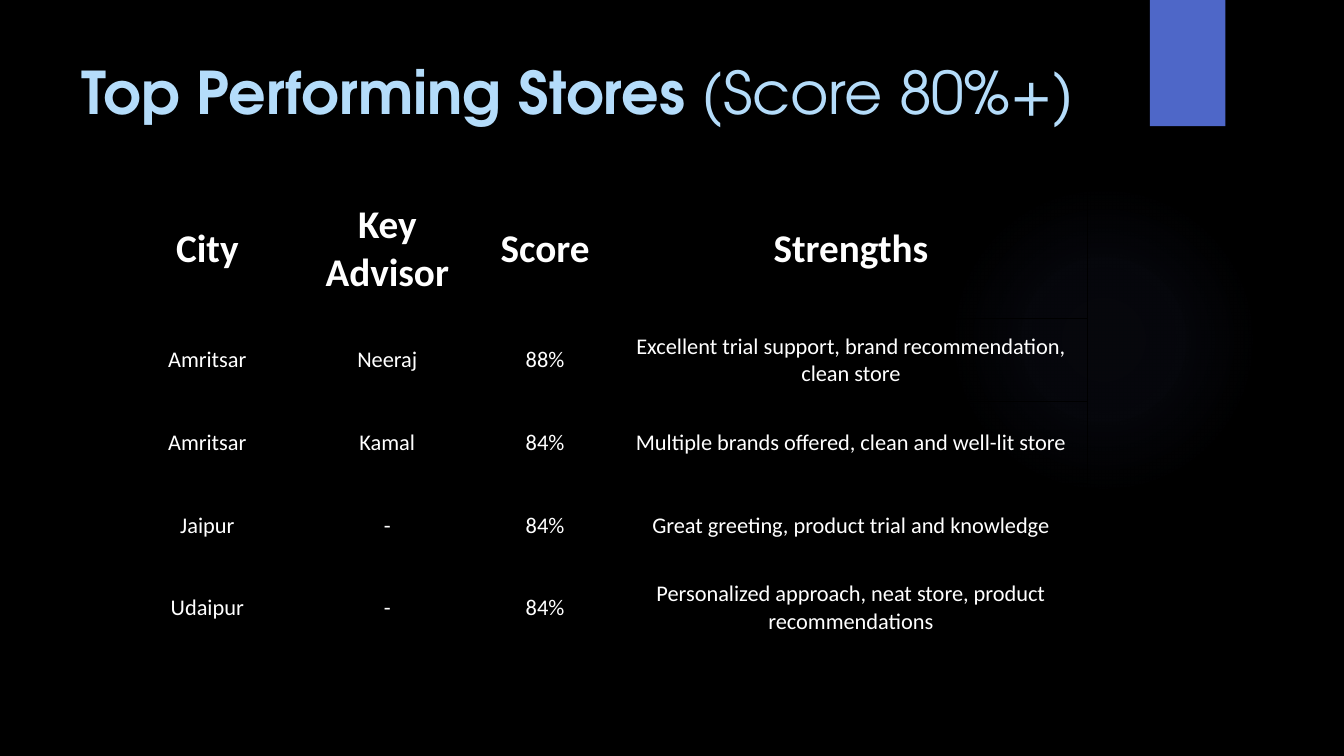
from lxml import etree
from pptx import Presentation
from pptx.dml.color import RGBColor
from pptx.enum.shapes import MSO_SHAPE
from pptx.enum.text import MSO_ANCHOR, PP_ALIGN
from pptx.oxml import parse_xml
from pptx.oxml.ns import nsdecls, qn
from pptx.util import Cm, Pt

ELLIPSE, RECTANGLE = MSO_SHAPE.OVAL, MSO_SHAPE.RECTANGLE
TOP, MIDDLE = MSO_ANCHOR.TOP, MSO_ANCHOR.MIDDLE
CENTER = PP_ALIGN.CENTER

BLACK = RGBColor(0x00, 0x00, 0x00)
WHITE = RGBColor(0xFF, 0xFF, 0xFF)
BLUE = RGBColor(0x4E, 0x67, 0xC8)
GLOW_BLUE = RGBColor(0x59, 0x68, 0xB0)
LIGHT_BLUE = RGBColor(0xB4, 0xDC, 0xFA)

TITLE_FONT, BODY_FONT = "TeX Gyre Adventor", "Calibri"
GLOW_STOPS = [(0, 7), (36, 6), (69, 0)]  # position and opacity, in percent

COLUMN_WIDTHS = [Cm(4.65), Cm(4.42), Cm(3.53), Cm(11.89)]
HEADER_HEIGHT, ROW_HEIGHT = Cm(3.53), Cm(2.08)
STORES = [
    ("City", "Key Advisor", "Score", "Strengths"),
    ("Amritsar", "Neeraj", "88%",
     "Excellent trial support, brand recommendation, clean store"),
    ("Amritsar", "Kamal", "84%",
     "Multiple brands offered, clean and well-lit store"),
    ("Jaipur", "-", "84%", "Great greeting, product trial and knowledge"),
    ("Udaipur", "-", "84%",
     "Personalized approach, neat store, product recommendations"),
]


def add_plain_shape(s, kind, left, top, width, height):
    sp = s.shapes.add_shape(kind, left, top, width, height)
    sp.shadow.inherit = False
    sp.line.fill.background()
    return sp


def add_glow(s, left, top, size):
    """Draw a faint disc that fades out from its centre."""
    sp = add_plain_shape(s, ELLIPSE, left, top, size, size)
    sp.fill.gradient()
    stops = "".join(
        f'<a:gs pos="{pos * 1000}"><a:srgbClr val="{GLOW_BLUE}">'
        f'<a:alpha val="{alpha * 1000}"/></a:srgbClr></a:gs>'
        for pos, alpha in GLOW_STOPS)
    gradient = parse_xml(
        f'<a:gradFill {nsdecls("a")} rotWithShape="1"><a:gsLst>{stops}</a:gsLst>'
        '<a:path path="circle"><a:fillToRect l="50000" t="50000" r="50000" '
        'b="50000"/></a:path></a:gradFill>')
    sp_pr = sp.element.spPr
    sp_pr.replace(sp_pr.find(qn("a:gradFill")), gradient)


def add_accent_bar(s, left, top, width, height):
    sp = add_plain_shape(s, RECTANGLE, left, top, width, height)
    sp.fill.solid()
    sp.fill.fore_color.rgb = BLUE


def add_title(s, left, top, width, height):
    tf = s.shapes.add_textbox(left, top, width, height).text_frame
    tf.word_wrap = True
    tf.vertical_anchor = TOP
    p = tf.paragraphs[0]
    p.font.size = Pt(42)
    p.font.name = TITLE_FONT
    p.font.color.rgb = LIGHT_BLUE
    for text, bold in [("Top Performing Stores", True), (" (Score 80%+)", False)]:
        r = p.add_run()
        r.text = text
        r.font.bold = bold


def add_borders(cell):
    tc_pr = cell._tc.get_or_add_tcPr()
    for side in ("lnL", "lnR", "lnT", "lnB"):
        ln = etree.SubElement(tc_pr, qn(f"a:{side}"), w=str(Pt(0.5)))
        fill = etree.SubElement(ln, qn("a:solidFill"))
        etree.SubElement(fill, qn("a:srgbClr"), val=str(BLACK))


def fill_cell(cell, text, is_header):
    add_borders(cell)
    cell.fill.background()
    cell.vertical_anchor = MIDDLE
    cell.margin_left = cell.margin_right = cell.margin_top = Cm(0.02)
    cell.margin_bottom = 0
    cell.text = text
    p = cell.text_frame.paragraphs[0]
    p.alignment = CENTER
    p.font.name = BODY_FONT
    p.font.size = Pt(28 if is_header else 16)
    p.font.bold = is_header
    p.font.color.rgb = WHITE


def add_store_table(s, left, top):
    height = HEADER_HEIGHT + ROW_HEIGHT * (len(STORES) - 1)
    table = s.shapes.add_table(len(STORES), len(COLUMN_WIDTHS), left, top,
                               sum(COLUMN_WIDTHS), height).table
    table.first_row = table.horz_banding = False
    for column, width in zip(table.columns, COLUMN_WIDTHS):
        column.width = width
    for i, store in enumerate(STORES):
        table.rows[i].height = ROW_HEIGHT if i else HEADER_HEIGHT
        for j, text in enumerate(store):
            fill_cell(table.cell(i, j), text, is_header=i == 0)


def main():
    prs = Presentation()
    prs.slide_width, prs.slide_height = Cm(33.87), Cm(19.05)
    s = prs.slides.add_slide(prs.slide_layouts[6])
    s.background.fill.solid()
    s.background.fill.fore_color.rgb = BLACK
    add_glow(s, Cm(23.9), Cm(4.65), Cm(7.82))
    add_accent_bar(s, Cm(28.98), 0, Cm(1.9), Cm(3.18))
    add_title(s, Cm(1.8), Cm(1.27), Cm(26.14), Cm(3.89))
    add_store_table(s, Cm(2.9), Cm(4.5))
    prs.save("out.pptx")


if __name__ == "__main__":
    main()
